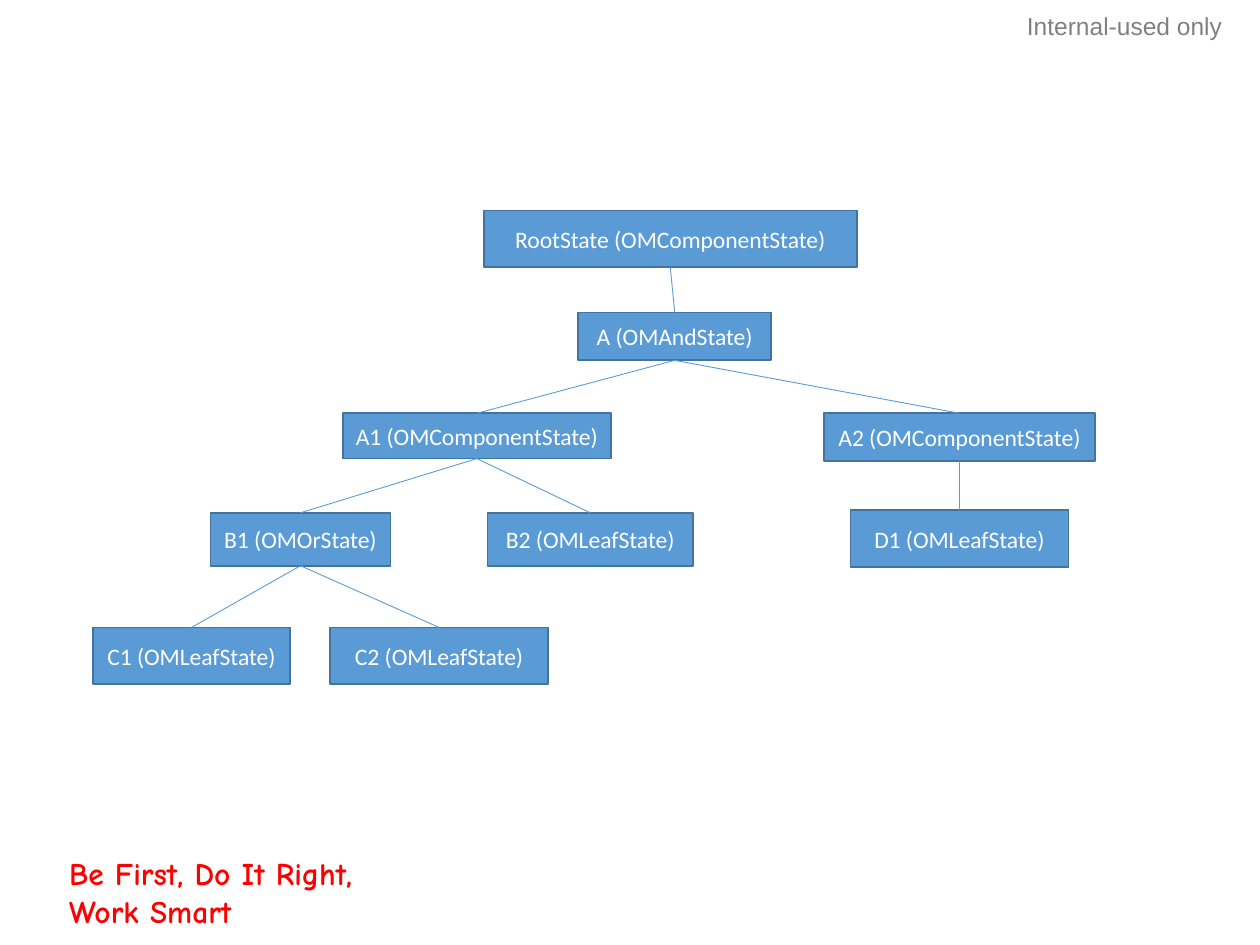
from lxml import etree
from pptx import Presentation
from pptx.dml.color import RGBColor
from pptx.enum.shapes import MSO_CONNECTOR, MSO_SHAPE
from pptx.enum.text import MSO_ANCHOR, PP_ALIGN
from pptx.oxml import parse_xml
from pptx.oxml.ns import nsdecls, qn
from pptx.util import Inches, Pt

RECTANGLE = MSO_SHAPE.RECTANGLE
STRAIGHT = MSO_CONNECTOR.STRAIGHT
MIDDLE, TOP = MSO_ANCHOR.MIDDLE, MSO_ANCHOR.TOP
LEFT, CENTER, RIGHT = PP_ALIGN.LEFT, PP_ALIGN.CENTER, PP_ALIGN.RIGHT

BLUE = RGBColor(0x5B, 0x9B, 0xD5)
DARK_BLUE = RGBColor(0x43, 0x73, 0x9E)
WHITE = RGBColor(0xFF, 0xFF, 0xFF)
GRAY = RGBColor(0x80, 0x80, 0x80)
RED = RGBColor(0xFF, 0x00, 0x00)

# State name: class, parent, left, top, width, height
STATES = {
    "RootState": ("OMComponentState", None, 3.84, 1.67, 2.96, 0.45),
    "A": ("OMAndState", "RootState", 4.59, 2.48, 1.53, 0.38),
    "A1": ("OMComponentState", "A", 2.72, 3.28, 2.13, 0.36),
    "A2": ("OMComponentState", "A", 6.54, 3.28, 2.15, 0.38),
    "B1": ("OMOrState", "A1", 1.67, 4.07, 1.43, 0.42),
    "B2": ("OMLeafState", "A1", 3.87, 4.07, 1.63, 0.42),
    "C1": ("OMLeafState", "B1", 0.74, 4.98, 1.56, 0.45),
    "C2": ("OMLeafState", "B1", 2.62, 4.98, 1.73, 0.45),
    "D1": ("OMLeafState", "A2", 6.75, 4.05, 1.73, 0.45),
}


def write(box, text, font, size, color, align, anchor, insets):
    """Set one paragraph of text and return its run."""
    frame = box.text_frame
    frame.text = text
    frame.word_wrap = True
    frame.vertical_anchor = anchor
    frame.margin_left = frame.margin_right = Inches(insets[0])
    frame.margin_top = frame.margin_bottom = Inches(insets[1])
    para = frame.paragraphs[0]
    para.alignment = align
    span = para.runs[0]
    span.font.name = font
    span.font.size = Pt(size)
    span.font.color.rgb = color
    return span


def add_label(page, place, *style):
    box = page.shapes.add_textbox(*map(Inches, place))
    return write(box, *style)


def add_state(page, text, place):
    box = page.shapes.add_shape(RECTANGLE, *map(Inches, place))
    box.shadow.inherit = False
    box.fill.solid()
    box.fill.fore_color.rgb = BLUE
    box.line.color.rgb = DARK_BLUE
    box.line.width = Pt(1)
    write(box, text, "Calibri", 13.5, WHITE, CENTER, MIDDLE, (0.07, 0.04))
    return box


def add_branch(page, parent, child):
    """Join the bottom of the parent to the top of the child."""
    line = page.shapes.add_connector(STRAIGHT, 0, 0, 0, 0)
    line.begin_connect(parent, 2)
    line.end_connect(child, 0)
    line.line.color.rgb = BLUE
    line.line.width = Pt(0.5)
    etree.SubElement(line._element.spPr, qn("a:effectLst"))


def outline_text(span, color, width):
    outline = parse_xml(
        f'<a:ln {nsdecls("a")} w="{Pt(width)}"><a:solidFill>'
        f'<a:srgbClr val="{color}"/></a:solidFill></a:ln>')
    span.font._element.insert(0, outline)


def main():
    deck = Presentation()
    deck.slide_width, deck.slide_height = Inches(10), Inches(7.5)
    page = deck.slides.add_slide(deck.slide_layouts[6])

    # Header note and footer motto
    add_label(page, (7.97, 0.09, 1.73, 0.24), "Internal-used only",
              "Arial", 14, GRAY, RIGHT, TOP, (0, 0))
    motto = add_label(page, (0.45, 6.96, 2.68, 0.24),
                      "Be First, Do It Right, Work Smart",
                      "Comic Neue", 18, RED, LEFT, MIDDLE, (0.1, 0.05))
    motto.font.bold = True
    outline_text(motto, RED, 0.75)

    # State tree: boxes first, then the branches between them
    boxes = {name: add_state(page, f"{name} ({kind})", place)
             for name, (kind, _, *place) in STATES.items()}
    for name, (_, parent, *_) in STATES.items():
        if parent:
            add_branch(page, boxes[parent], boxes[name])

    deck.save("out.pptx")


if __name__ == "__main__":
    main()
